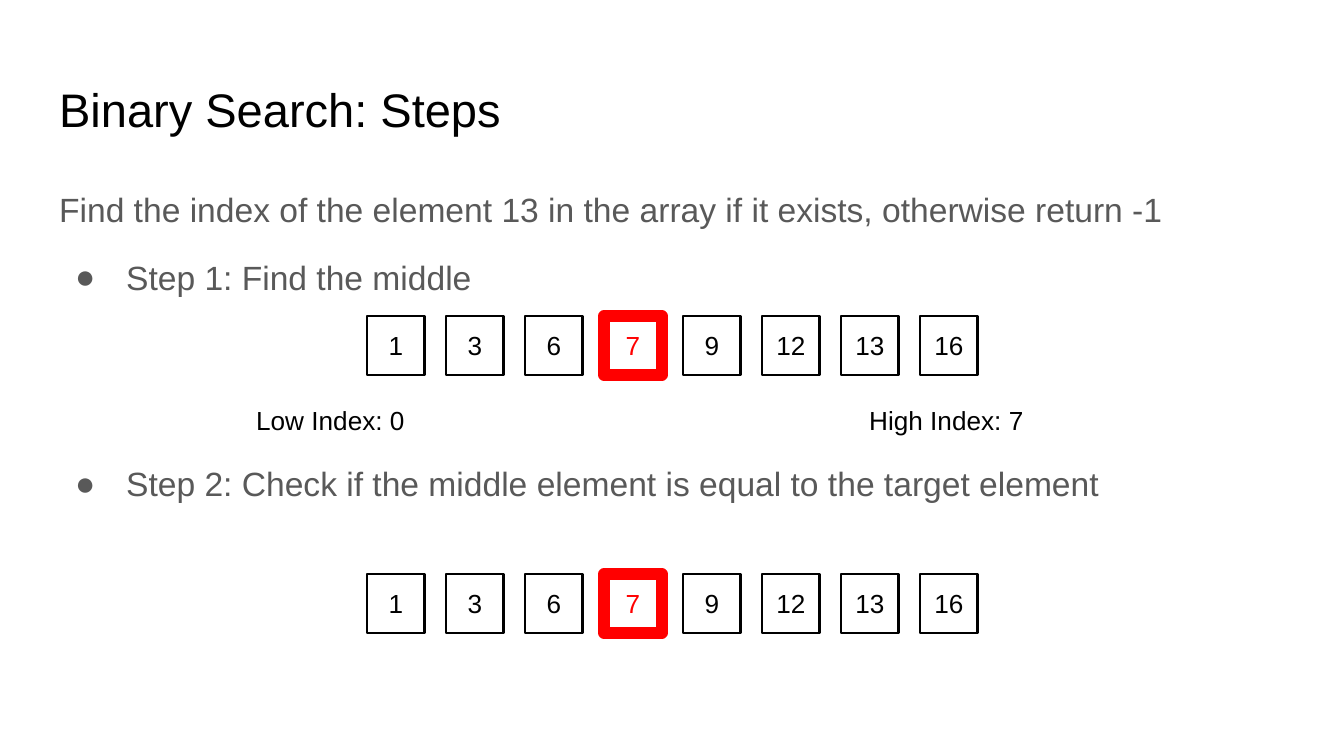
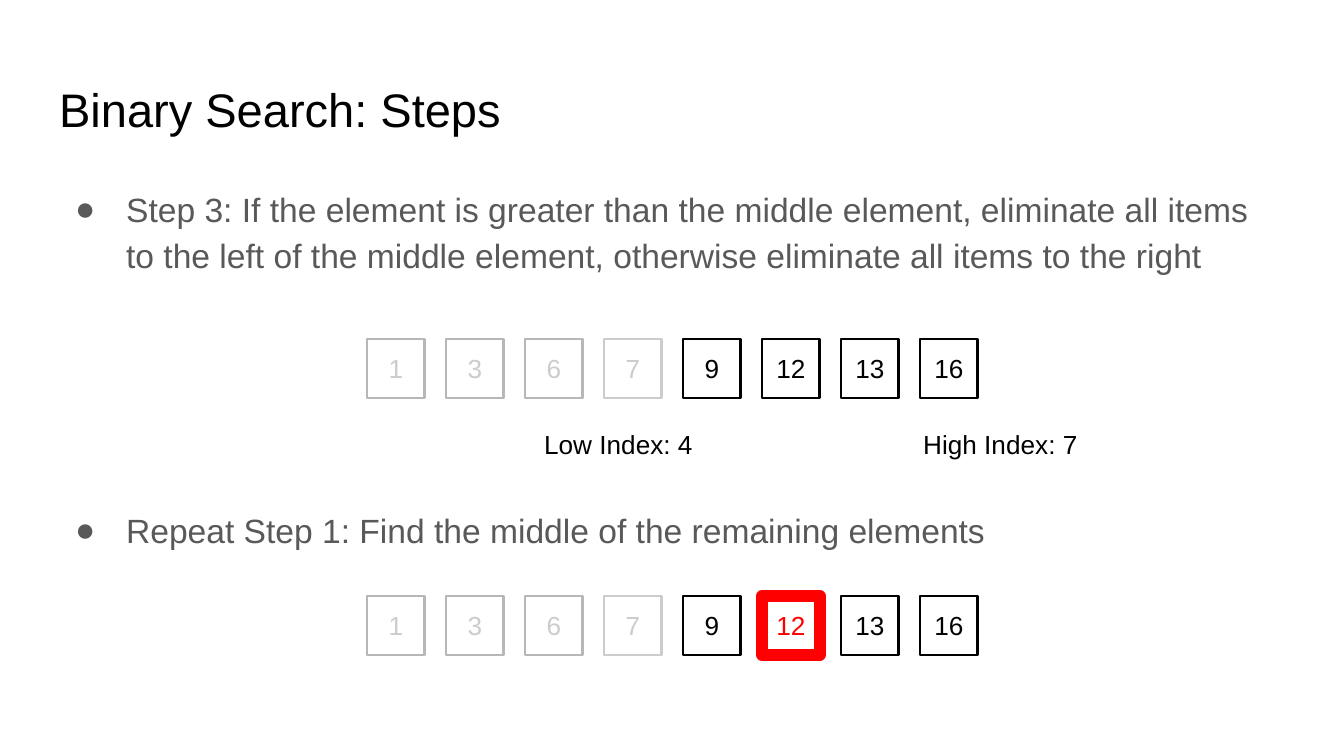
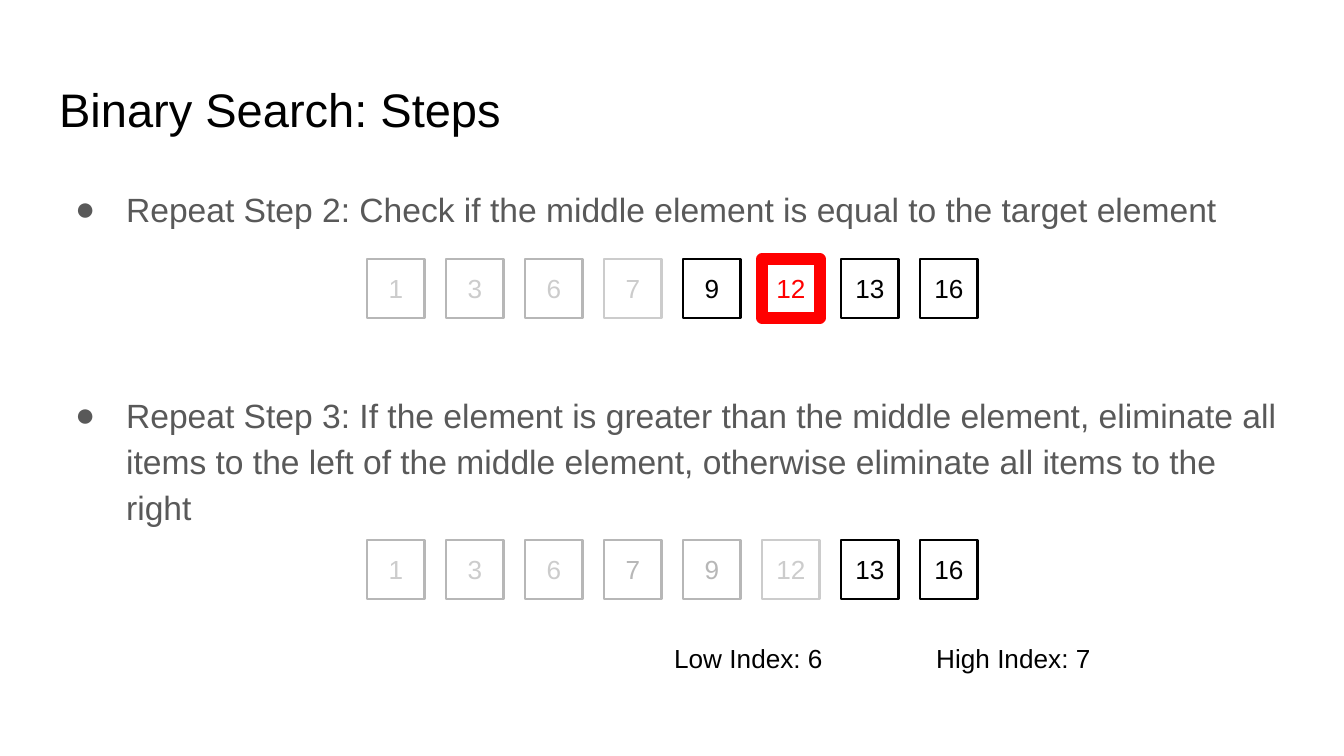
"""Build three slides that walk through the steps of a binary search."""
from lxml import etree
from pptx import Presentation
from pptx.dml.color import RGBColor
from pptx.enum.shapes import MSO_SHAPE
from pptx.enum.text import MSO_ANCHOR, MSO_AUTO_SIZE, PP_ALIGN
from pptx.oxml.ns import qn
from pptx.util import Pt

RECTANGLE = MSO_SHAPE.RECTANGLE
TOP, MIDDLE = MSO_ANCHOR.TOP, MSO_ANCHOR.MIDDLE
LEFT, CENTER = PP_ALIGN.LEFT, PP_ALIGN.CENTER
FIXED, GROW = MSO_AUTO_SIZE.NONE, MSO_AUTO_SIZE.SHAPE_TO_FIT_TEXT

BLACK = RGBColor(0x00, 0x00, 0x00)
RED = RGBColor(0xFF, 0x00, 0x00)
BODY_GRAY = RGBColor(0x59, 0x59, 0x59)
MID_GRAY = RGBColor(0xB7, 0xB7, 0xB7)
LIGHT_GRAY = RGBColor(0xCC, 0xCC, 0xCC)

FONT = "Arial"
EMU_PER_PX = 914400 / 134.4
PARAGRAPH_GAP = 12
EMPTY_LINE = 36.8

TITLE = "Binary Search: Steps"
VALUES = [1, 3, 6, 7, 9, 12, 13, 16]
CELL_STYLES = {
    "active": (BLACK, BLACK, 1.5),
    "middle": (RED, RED, 6),
    "gone": (MID_GRAY, LIGHT_GRAY, 1.5),
    "past": (MID_GRAY, MID_GRAY, 1.5),
    "dropped": (LIGHT_GRAY, LIGHT_GRAY, 1.5),
}
FIRST_PASS = ["active"] * 3 + ["middle"] + ["active"] * 4
RIGHT_HALF = ["gone"] * 3 + ["dropped"] + ["active"] * 4
SECOND_PASS = RIGHT_HALF[:5] + ["middle"] + ["active"] * 2
LAST_PAIR = ["gone"] * 3 + ["past"] * 2 + ["dropped"] + ["active"] * 2

ELIMINATE = ("If the element is greater than the middle element, eliminate all items "
             "to the left of the middle element, otherwise eliminate all items to the right")
CHECK = "Check if the middle element is equal to the target element"

SLIDES = [
    {
        "body": [
            {"text": "Find the index of the element 13 in the array if it exists, otherwise return -1",
             "bullet": False},
            {"text": "Step 1: Find the middle"},
            {"text": f"Step 2: {CHECK}", "lines_above": 2},
        ],
        "rows": [(316, FIRST_PASS), (574, FIRST_PASS)],
        "labels": [("Low Index: 0", 243, 391), ("High Index: 7", 856, 391)],
    },
    {
        "body": [
            {"text": f"Step 3: {ELIMINATE}"},
            {"text": "Repeat Step 1: Find the middle of the remaining elements", "lines_above": 3},
        ],
        "rows": [(339, RIGHT_HALF), (596, SECOND_PASS)],
        "labels": [("Low Index: 4", 531, 415), ("High Index: 7", 910, 415)],
    },
    {
        "body": [
            {"text": f"Repeat Step 2: {CHECK}"},
            {"text": f"Repeat Step 3: {ELIMINATE}", "lines_above": 2},
        ],
        "rows": [(259, SECOND_PASS), (540, LAST_PAIR)],
        "labels": [("Low Index: 6", 661, 629), ("High Index: 7", 923, 629)],
    },
]

TITLE_AREA = (46, 66, 1253, 85)
BODY_AREA = (46, 169, 1253, 503)
ROW_LEFT, CELL_PITCH = 367, 79
CELL_SIZE = (58, 59)
LABEL_SIZE = (203, 59)


def px(length):
    return round(length * EMU_PER_PX)


def prepare_frame(box, anchor=TOP, autosize=FIXED):
    frame = box.text_frame
    frame.word_wrap = True
    frame.auto_size = autosize
    frame.vertical_anchor = anchor
    for side in ("left", "top", "right", "bottom"):
        setattr(frame, f"margin_{side}", Pt(7.2))
    return frame


def add_text_box(page, area, **layout):
    return prepare_frame(page.shapes.add_textbox(*map(px, area)), **layout)


def write_text(paragraph, text, size=14, color=BLACK, align=LEFT):
    paragraph.alignment = align
    span = paragraph.add_run()
    span.text = text
    span.font.name = FONT
    span.font.size = Pt(size)
    span.font.color.rgb = color


def add_bullet(paragraph):
    properties = paragraph._p.get_or_add_pPr()
    properties.set("marL", str(px(67)))
    properties.set("indent", str(px(-51)))
    color = etree.SubElement(properties, qn("a:buClr"))
    etree.SubElement(color, qn("a:srgbClr")).set("val", str(BODY_GRAY))
    etree.SubElement(properties, qn("a:buFont")).set("typeface", FONT)
    etree.SubElement(properties, qn("a:buChar")).set("char", "●")


def add_body(page, items):
    frame = add_text_box(page, BODY_AREA)
    for index, item in enumerate(items):
        paragraph = frame.add_paragraph() if index else frame.paragraphs[0]
        if item.get("bullet", True):
            add_bullet(paragraph)
        paragraph.line_spacing = 1.15
        if index:
            paragraph.space_before = Pt(PARAGRAPH_GAP + EMPTY_LINE * item.get("lines_above", 0))
        write_text(paragraph, item["text"], size=18, color=BODY_GRAY)


def add_array_row(page, top, states):
    for index, (value, state) in enumerate(zip(VALUES, states)):
        line_color, text_color, line_width = CELL_STYLES[state]
        area = (ROW_LEFT + index * CELL_PITCH, top, *CELL_SIZE)
        cell = page.shapes.add_shape(RECTANGLE, *map(px, area))
        cell.shadow.inherit = False
        cell.fill.background()
        cell.line.color.rgb = line_color
        cell.line.width = Pt(line_width)
        frame = prepare_frame(cell, anchor=MIDDLE, autosize=GROW)
        write_text(frame.paragraphs[0], str(value), color=text_color, align=CENTER)


def main():
    deck = Presentation()
    deck.slide_width, deck.slide_height = px(1344), px(756)
    for content in SLIDES:
        page = deck.slides.add_slide(deck.slide_layouts[6])
        title = add_text_box(page, TITLE_AREA, anchor=MIDDLE)
        write_text(title.paragraphs[0], TITLE, size=25.2)
        add_body(page, content["body"])
        for top, states in content["rows"]:
            add_array_row(page, top, states)
        for text, left, top in content["labels"]:
            label = add_text_box(page, (left, top, *LABEL_SIZE), autosize=GROW)
            write_text(label.paragraphs[0], text)
    deck.save("out.pptx")


if __name__ == "__main__":
    main()
